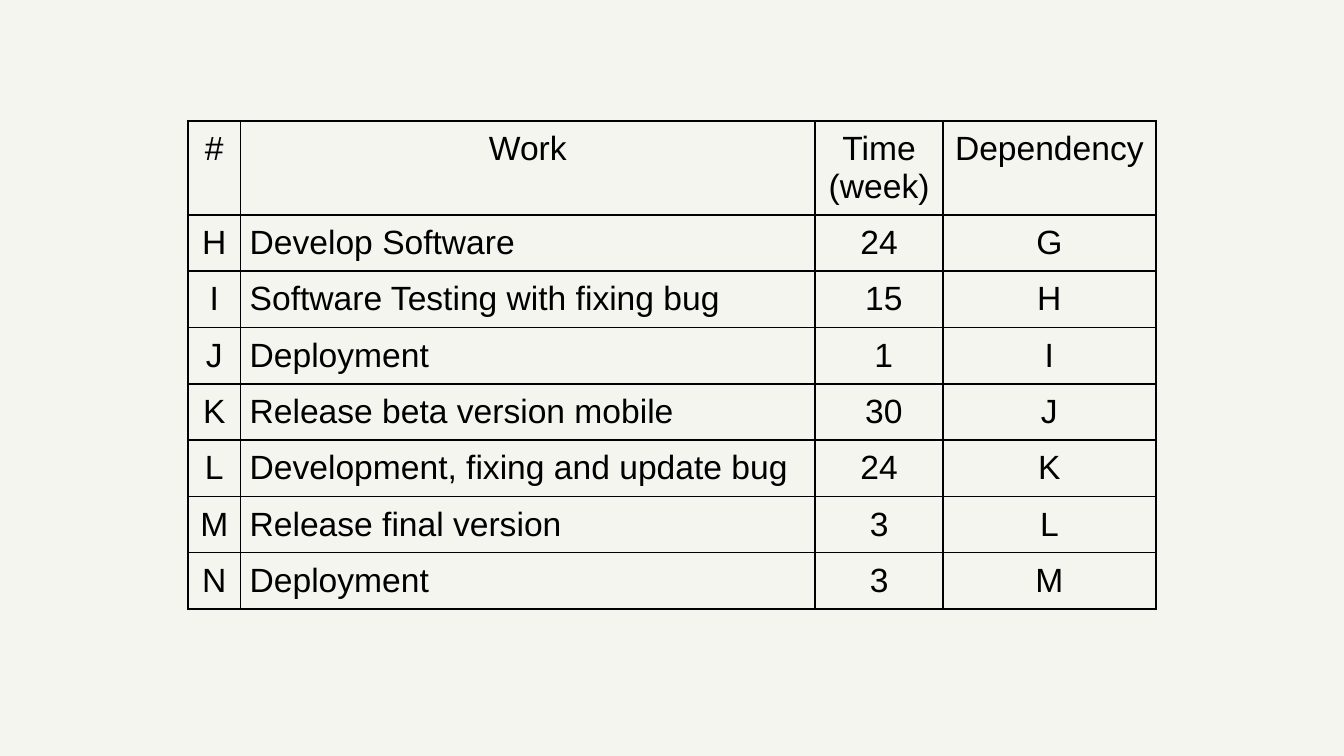
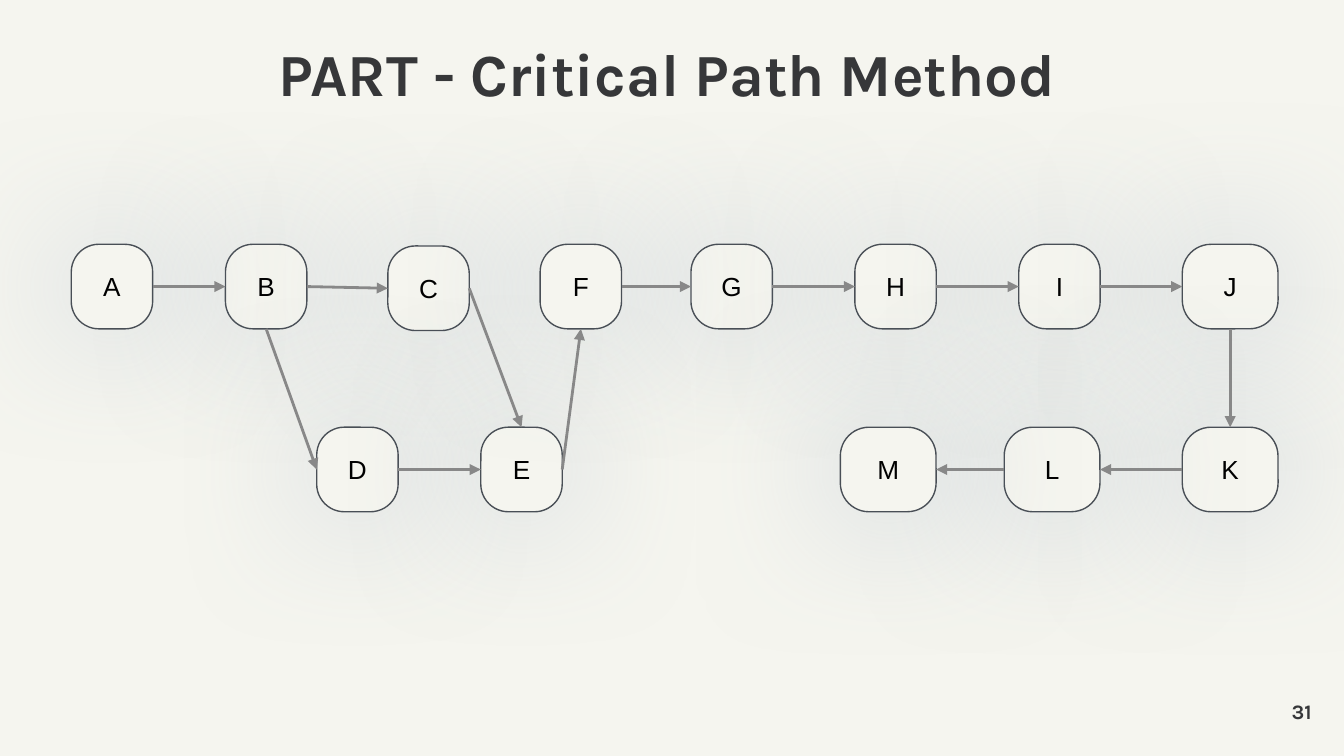
from lxml import etree
from pptx import Presentation
from pptx.dml.color import RGBColor
from pptx.enum.shapes import MSO_CONNECTOR, MSO_SHAPE
from pptx.enum.text import MSO_ANCHOR, PP_ALIGN
from pptx.oxml import parse_xml
from pptx.oxml.ns import nsdecls, qn
from pptx.util import Pt

LEFT, CENTER, RIGHT = PP_ALIGN.LEFT, PP_ALIGN.CENTER, PP_ALIGN.RIGHT
TOP, MIDDLE = MSO_ANCHOR.TOP, MSO_ANCHOR.MIDDLE
ROUNDED, STRAIGHT = MSO_SHAPE.ROUNDED_RECTANGLE, MSO_CONNECTOR.STRAIGHT

# Shared look
PAPER, INK, BLACK = "F5F5EF", "363739", "000000"
OUTLINE, ARROW, GLOW = "494F56", "888888", "8EA3BF"
BODY_FONT, TITLE_FONT = "Arial", "Karla"

# Slide 1: work schedule
HEADINGS = ("#", "Work", "Time (week)", "Dependency")
TASKS = [
    ("H", "Develop Software", "24", "G"),
    ("I", "Software Testing with fixing bug", " 15", "H"),
    ("J", "Deployment", " 1", "I"),
    ("K", "Release beta version mobile", " 30", "J"),
    ("L", "Development, fixing and update bug", "24", "K"),
    ("M", "Release final version", "3", "L"),
    ("N", "Deployment", "3", "M"),
]
COLUMN_WIDTHS = (28, 308, 68.4, 114)
HEADING_HEIGHT, TASK_HEIGHT = 50.3, 30.15
TABLE_LEFT, TABLE_TOP, CELL_MARGIN = 100.8, 64.8, 5
WORK_COLUMN = 1

# Slide 2: critical path, each step as (left, top, width)
TITLE, PAGE = "PART - Critical Path Method", "31"
UPPER, LOWER = 130.9, 228.9
NARROW, WIDE, STEP_HEIGHT = 43.6, 51.3, 45.3
STEPS = {
    "B": (120.8, UPPER, NARROW),
    "C": (207.8, UPPER + 0.9, NARROW),
    "G": (370.2, UPPER, NARROW),
    "D": (169.7, LOWER, NARROW),
    "H": (458, UPPER, NARROW),
    "E": (257.6, LOWER, NARROW),
    "A": (38.2, UPPER, NARROW),
    "F": (289.4, UPPER, NARROW),
    "I": (545.8, UPPER, NARROW),
    "J": (633.4, UPPER, WIDE),
    "K": (633.4, LOWER, WIDE),
    "L": (538, LOWER, WIDE),
    "M": (450.2, LOWER, WIDE),
}
# Connection sites of a step
ABOVE, BEFORE, BELOW, AFTER = range(4)
FLOWS = [(pair, AFTER, BEFORE) for pair in ("AB", "BC", "DE", "FG", "GH", "HI", "IJ")] + [
    ("BD", BELOW, BEFORE),
    ("CE", AFTER, ABOVE),
    ("EF", AFTER, BELOW),
    ("JK", BELOW, ABOVE),
    ("KL", BEFORE, AFTER),
    ("LM", BEFORE, AFTER),
]


def color(value):
    return RGBColor.from_string(value)


def new_slide(deck):
    slide = deck.slides.add_slide(deck.slide_layouts[6])
    slide.background.fill.solid()
    slide.background.fill.fore_color.rgb = color(PAPER)
    return slide


def write(frame, text, size, font, ink, align, bold=False):
    paragraph = frame.paragraphs[0]
    paragraph.text = text
    paragraph.alignment = align
    paragraph.font.size = Pt(size)
    paragraph.font.name = font
    paragraph.font.bold = bold
    paragraph.font.color.rgb = color(ink)
    return paragraph


def set_frame(frame, margin, anchor):
    frame.word_wrap = True
    frame.vertical_anchor = anchor
    frame.margin_left = frame.margin_right = Pt(margin)
    frame.margin_top = frame.margin_bottom = Pt(margin)


def add_label(slide, box, text, size, align, anchor):
    frame = slide.shapes.add_textbox(*map(Pt, box)).text_frame
    set_frame(frame, 0, anchor)
    return write(frame, text, size, TITLE_FONT, INK, align, bold=True)


def add_borders(cell):
    properties = cell._tc.get_or_add_tcPr()
    for side in "LRTB":
        properties.append(parse_xml(
            f'<a:ln{side} {nsdecls("a")} w="{Pt(1)}"><a:solidFill>'
            f'<a:srgbClr val="{BLACK}"/></a:solidFill></a:ln{side}>'))


def add_schedule(slide):
    rows = [HEADINGS, *TASKS]
    heights = [HEADING_HEIGHT] + [TASK_HEIGHT] * len(TASKS)
    table = slide.shapes.add_table(
        len(rows), len(HEADINGS), Pt(TABLE_LEFT), Pt(TABLE_TOP),
        Pt(sum(COLUMN_WIDTHS)), Pt(sum(heights))).table
    table.first_row = table.horz_banding = False
    for column, width in zip(table.columns, COLUMN_WIDTHS):
        column.width = Pt(width)
    for r, (texts, height) in enumerate(zip(rows, heights)):
        table.rows[r].height = Pt(height)
        for c, text in enumerate(texts):
            cell = table.cell(r, c)
            cell.margin_left = cell.margin_right = Pt(CELL_MARGIN)
            cell.margin_top = cell.margin_bottom = Pt(CELL_MARGIN)
            add_borders(cell)
            cell.fill.background()
            align = LEFT if r and c == WORK_COLUMN else CENTER
            write(cell.text_frame, text, 18, BODY_FONT, BLACK, align)


def add_step(slide, name, left, top, width):
    step = slide.shapes.add_shape(ROUNDED, Pt(left), Pt(top), Pt(width), Pt(STEP_HEIGHT))
    step.adjustments[0] = 0.34
    step.fill.solid()
    step.fill.fore_color.rgb = color(PAPER)
    step.line.color.rgb = color(OUTLINE)
    step.line.width = Pt(0.75)
    # Soft glow around the step
    step.shadow.inherit = False
    step.element.spPr.find(qn("a:effectLst")).append(parse_xml(
        f'<a:outerShdw {nsdecls("a")} blurRad="{Pt(78.8)}" dist="0" dir="0" algn="ctr" '
        f'rotWithShape="0"><a:srgbClr val="{GLOW}"><a:alpha val="50000"/></a:srgbClr>'
        '</a:outerShdw>'))
    set_frame(step.text_frame, 7.2, MIDDLE)
    write(step.text_frame, name, 14, BODY_FONT, BLACK, CENTER)
    return step


def add_flow(slide, start, start_site, end, end_site):
    arrow = slide.shapes.add_connector(STRAIGHT, 0, 0, 0, 0)
    arrow.begin_connect(start, start_site)
    arrow.end_connect(end, end_site)
    arrow.line.color.rgb = color(ARROW)
    arrow.line.width = Pt(1.5)
    properties = arrow.element.spPr
    etree.SubElement(properties.find(qn("a:ln")), qn("a:tailEnd"), type="triangle")
    etree.SubElement(properties, qn("a:effectLst"))


def add_critical_path(slide):
    steps = {name: add_step(slide, name, *place) for name, place in STEPS.items()}
    for (start, end), start_site, end_site in FLOWS:
        add_flow(slide, steps[start], start_site, steps[end], end_site)


def main():
    deck = Presentation()
    deck.slide_width, deck.slide_height = Pt(720), Pt(405)

    add_schedule(new_slide(deck))

    path_slide = new_slide(deck)
    title = add_label(path_slide, (102.2, 23.8, 510.5, 33.8), TITLE, 32, CENTER, TOP)
    title.line_spacing = 0.9
    add_label(path_slide, (659.5, 373.7, 43.2, 14.4), PAGE, 11, RIGHT, MIDDLE)
    add_critical_path(path_slide)

    deck.save("out.pptx")


if __name__ == "__main__":
    main()
